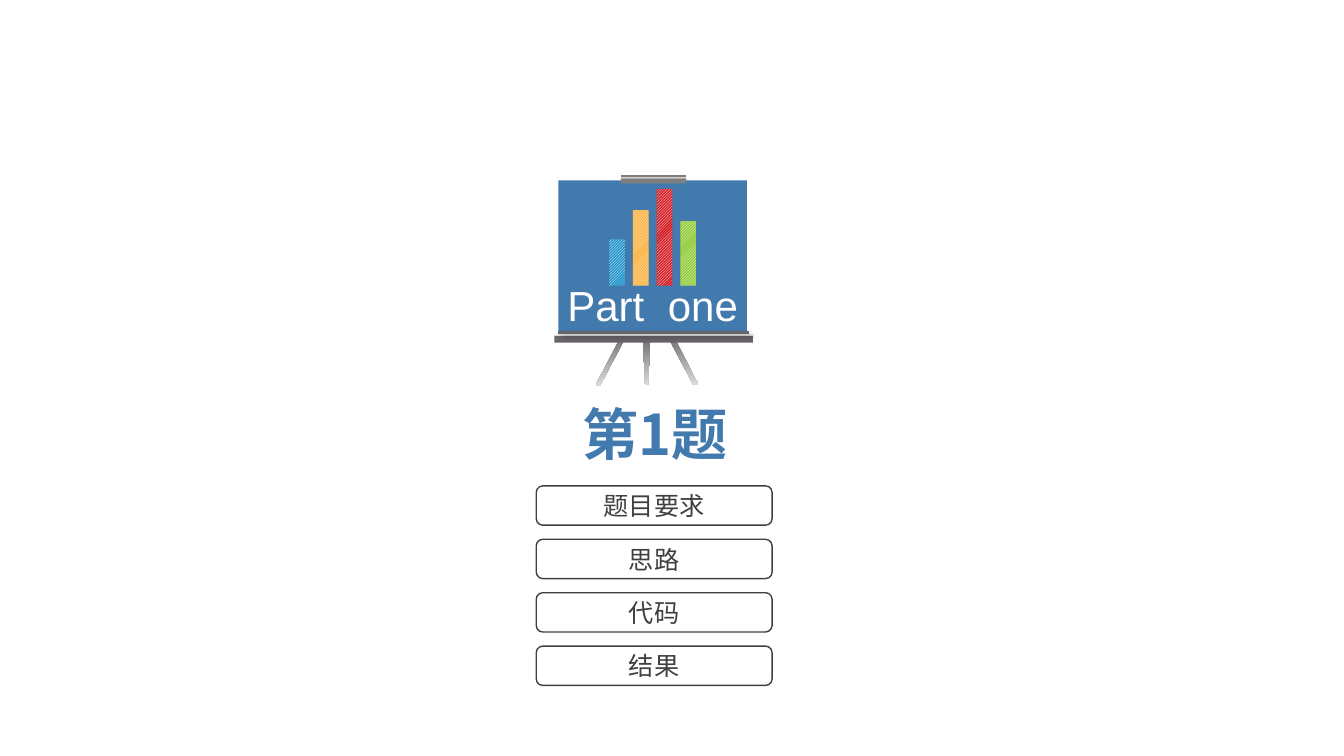
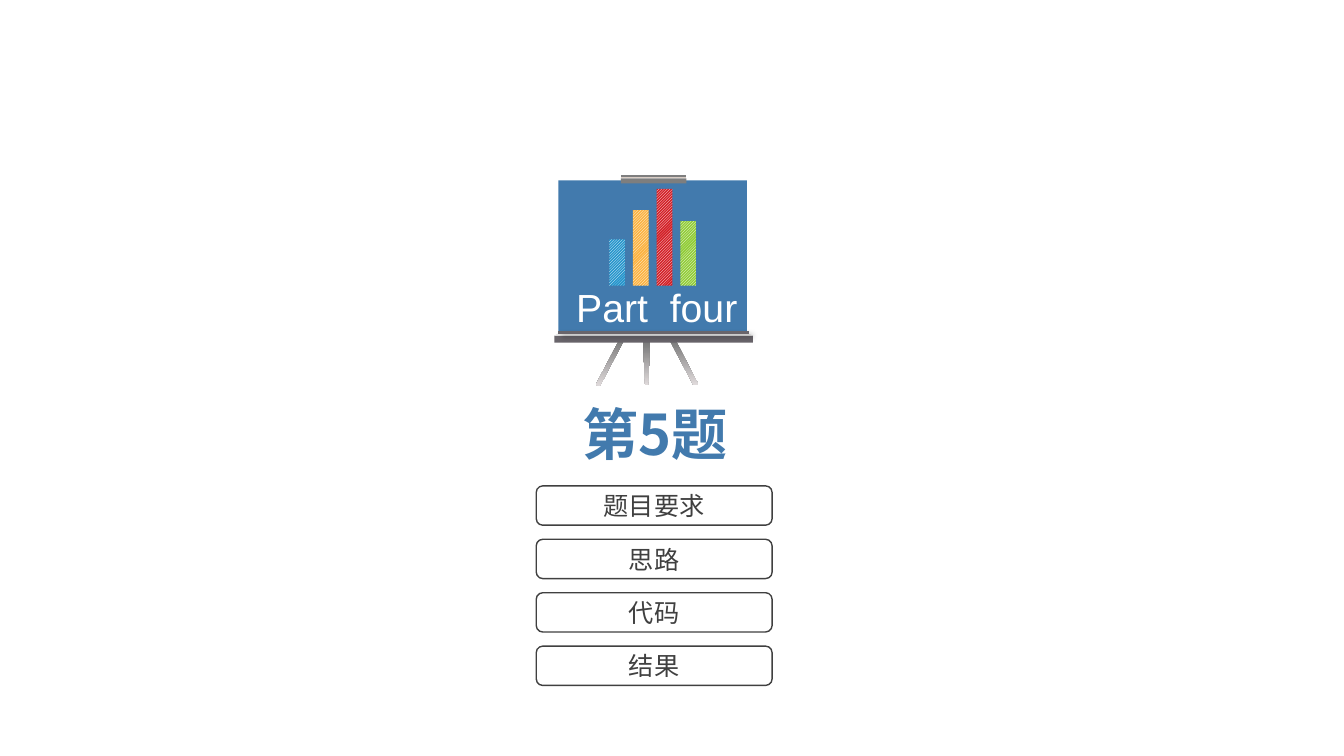
from dataclasses import dataclass

from lxml import etree
from pptx import Presentation
from pptx.dml.color import RGBColor
from pptx.dml.fill import FillFormat
from pptx.enum.dml import MSO_PATTERN
from pptx.enum.shapes import MSO_CONNECTOR, MSO_SHAPE
from pptx.enum.text import MSO_ANCHOR, MSO_AUTO_SIZE, PP_ALIGN
from pptx.oxml.ns import qn
from pptx.shapes.autoshape import Shape
from pptx.shapes.connector import Connector
from pptx.shapes.shapetree import GroupShapes
from pptx.slide import Slide
from pptx.text.text import TextFrame, _Paragraph as Paragraph
from pptx.util import Emu, Inches, Pt

RECTANGLE = MSO_SHAPE.RECTANGLE
ROUNDED = MSO_SHAPE.ROUNDED_RECTANGLE
STRAIGHT = MSO_CONNECTOR.STRAIGHT
HATCH = MSO_PATTERN.DARK_UPWARD_DIAGONAL
TOP, MIDDLE = MSO_ANCHOR.TOP, MSO_ANCHOR.MIDDLE
CENTER = PP_ALIGN.CENTER
NO_FIT = MSO_AUTO_SIZE.NONE

COLORS = {
    "blue": "427AAD", "white": "FFFFFF", "ink": "404040", "black": "000000",
    "clip": "7E7E7E", "clip light": "D9CDC5", "tray": "69656B", "tray top": "EAEAEA",
    "leg dark": "777777", "leg light": "DFDADB",
    "bar blue": "2595CC", "bar orange": "FBB240", "bar red": "D31F26", "bar green": "91CC37",
}
LATIN_FONT = "Arial"
CHINESE_FONT = "Noto Sans CJK SC"
TITLE_ONLY_LAYOUT = 5
TITLE_SIZE, BUTTON_SIZE = 40, 18
SPACE_SHARE = 0.28  # width of a space as a share of the font size

# The slide is a grid of square cells, ten to the inch.
CELL = Inches(0.1)
COLUMNS, ROWS = 133.33, 75


@dataclass(frozen=True)
class Area:
    """A rectangle in grid cells."""
    column: float
    row: float
    columns: float
    rows: float

    def emu(self) -> tuple[Emu, Emu, Emu, Emu]:
        return cells(self.column), cells(self.row), cells(self.columns), cells(self.rows)


@dataclass(frozen=True)
class Bar:
    color: str
    rows: float


@dataclass(frozen=True)
class Rule:
    """A horizontal line."""
    start: float
    end: float
    row: float
    color: str
    weight: float


@dataclass(frozen=True)
class Section:
    title: str
    number_word: str
    label_size: int
    label_area: Area


TITLE_AREA = Area(36.6, 39.1, 56.8, 7.7)
BOARD = Area(55.4, 17.9, 18.7, 15)
CLIP = Area(61.6, 17.7, 6.5, 0.5)
TRAY = Area(55, 33.3, 19.7, 0.7)
CLIP_RULES = [Rule(61.6, 68.1, 17.5, "clip", 1.5), Rule(61.6, 68.1, 17.6, "clip light", 1)]
TRAY_RULE = Rule(55.4, 74.3, 33, "tray", 2.25)
TRAY_TOP = [(55.3, 33.1), (74.3, 33.1), (74.7, 33.3), (55, 33.3)]
LEGS = [
    [(63.8, 33.9), (64.5, 33.9), (64.3, 38.2), (64, 38.2)],
    [(61.5, 33.6), (62, 33.6), (59.5, 38.3), (59.1, 38.2)],
    [(66.4, 33.7), (67, 33.7), (69.3, 38.2), (68.8, 38.2)],
]
BARS = [Bar("bar blue", 4.6), Bar("bar orange", 7.5), Bar("bar red", 9.6), Bar("bar green", 6.4)]
BAR_LEFT, BAR_PITCH, BAR_WIDTH, BAR_BASE = 60.45, 2.35, 1.55, 28.35

BUTTONS = ["题目要求", "思路", "代码", "结果"]
BUTTON_LEFT, BUTTON_TOP, BUTTON_PITCH = 53.2, 48.2, 5.3
BUTTON_WIDTH, BUTTON_HEIGHT = 23.4, 3.9

SECTIONS = [
    Section("第1题", "one", 30, Area(55.3, 27.3, 18.9, 5.8)),
    Section("第5题", "four", 28, Area(52.2, 27.7, 25.9, 5.5)),
]


def cells(count: float) -> Emu:
    return Emu(round(count * CELL))


def rgb(name: str) -> RGBColor:
    return RGBColor.from_string(COLORS[name])


def paint(fill: FillFormat, color: str) -> None:
    fill.solid()
    fill.fore_color.rgb = rgb(color)


def style(para: Paragraph, font: str, size: int, color: str, bold: bool = False) -> None:
    """Centre a paragraph and set its font for Latin and Chinese text."""
    para.alignment = CENTER
    para.font.name = font
    para.font.size = Pt(size)
    para.font.bold = bold
    para.font.color.rgb = rgb(color)
    defaults = para._p.get_or_add_pPr().find(qn("a:defRPr"))
    etree.SubElement(defaults, qn("a:ea"), typeface=font)


def set_frame(frame: TextFrame, anchor: MSO_ANCHOR) -> None:
    frame.word_wrap = True
    frame.auto_size = NO_FIT
    frame.vertical_anchor = anchor


def add_box(shapes: GroupShapes, area: Area, preset: MSO_SHAPE = RECTANGLE) -> Shape:
    """Add a preset shape with neither shadow, fill nor line."""
    box = shapes.add_shape(preset, *area.emu())
    box.shadow.inherit = False
    box.fill.background()
    box.line.fill.background()
    return box


def add_outline(shapes: GroupShapes, corners: list[tuple[float, float]]) -> Shape:
    points = [(cells(column), cells(row)) for column, row in corners]
    builder = shapes.build_freeform(*points[0])
    builder.add_line_segments(points[1:], close=True)
    outline = builder.convert_to_shape()
    outline.shadow.inherit = False
    outline.line.fill.background()
    return outline


def add_rule(shapes: GroupShapes, rule: Rule) -> Connector:
    row = cells(rule.row)
    line = shapes.add_connector(STRAIGHT, cells(rule.start), row, cells(rule.end), row)
    line.line.color.rgb = rgb(rule.color)
    line.line.width = Pt(rule.weight)
    etree.SubElement(line._element.spPr, qn("a:effectLst"))
    return line


def add_soft_shadow(line: Connector) -> None:
    effects = line._element.spPr.find(qn("a:effectLst"))
    shadow = etree.SubElement(effects, qn("a:outerShdw"), blurRad=str(Pt(4)),
                              dist=str(Pt(3)), dir=str(45 * 60000))
    color = etree.SubElement(shadow, qn("a:srgbClr"), val=COLORS["black"])
    etree.SubElement(color, qn("a:alpha"), val="31000")


def add_legs(shapes: GroupShapes) -> None:
    for corners in LEGS:
        fill = add_outline(shapes, corners).fill
        fill.gradient()
        fill.gradient_angle = 270
        for stop, color in zip(fill.gradient_stops, ("leg dark", "leg light")):
            stop.color.rgb = rgb(color)


def add_bars(shapes: GroupShapes) -> None:
    for index, bar in enumerate(BARS):
        left = BAR_LEFT + index * BAR_PITCH
        box = add_box(shapes, Area(left, BAR_BASE - bar.rows, BAR_WIDTH, bar.rows))
        box.fill.patterned()
        box.fill.pattern = HATCH
        box.fill.fore_color.rgb = rgb("white")
        box.fill.back_color.rgb = rgb(bar.color)


def add_board_label(shapes: GroupShapes, section: Section) -> None:
    box = shapes.add_textbox(*section.label_area.emu())
    frame = box.text_frame
    set_frame(frame, TOP)
    frame.margin_left = frame.margin_right = Inches(0.07)
    frame.margin_top = frame.margin_bottom = Inches(0.04)
    para = frame.paragraphs[0]
    style(para, LATIN_FONT, section.label_size, "white")
    for text in ("Part", " ", section.number_word):
        span = para.add_run()
        span.text = text
        if text == " ":  # widen the gap between the two words
            spacing = round(section.label_size * SPACE_SHARE * 100)
            span._r.get_or_add_rPr().set("spc", str(spacing))


def add_easel(slide: Slide, section: Section) -> None:
    shapes = slide.shapes.add_group_shape().shapes
    add_legs(shapes)
    paint(add_box(shapes, BOARD).fill, "blue")
    paint(add_box(shapes, CLIP).fill, "clip")
    for rule in CLIP_RULES:
        add_rule(shapes, rule)
    paint(add_box(shapes, TRAY).fill, "tray")
    paint(add_outline(shapes, TRAY_TOP).fill, "tray top")
    add_soft_shadow(add_rule(shapes, TRAY_RULE))
    add_bars(shapes)
    add_board_label(shapes, section)


def set_title(slide: Slide, text: str) -> None:
    title = slide.shapes.title
    title.left, title.top, title.width, title.height = TITLE_AREA.emu()
    set_frame(title.text_frame, TOP)
    title.text_frame.text = text
    style(title.text_frame.paragraphs[0], CHINESE_FONT, TITLE_SIZE, "blue", bold=True)


def add_buttons(slide: Slide) -> None:
    for index, text in enumerate(BUTTONS):
        top = BUTTON_TOP + index * BUTTON_PITCH
        area = Area(BUTTON_LEFT, top, BUTTON_WIDTH, BUTTON_HEIGHT)
        button = add_box(slide.shapes, area, ROUNDED)
        button.line.color.rgb = rgb("ink")
        button.line.width = Pt(1)
        set_frame(button.text_frame, MIDDLE)
        button.text_frame.text = text
        style(button.text_frame.paragraphs[0], CHINESE_FONT, BUTTON_SIZE, "ink")


def main() -> None:
    deck = Presentation()
    deck.slide_width, deck.slide_height = cells(COLUMNS), cells(ROWS)
    for section in SECTIONS:
        slide = deck.slides.add_slide(deck.slide_layouts[TITLE_ONLY_LAYOUT])
        add_easel(slide, section)
        set_title(slide, section.title)
        add_buttons(slide)
    deck.save("out.pptx")


if __name__ == "__main__":
    main()
